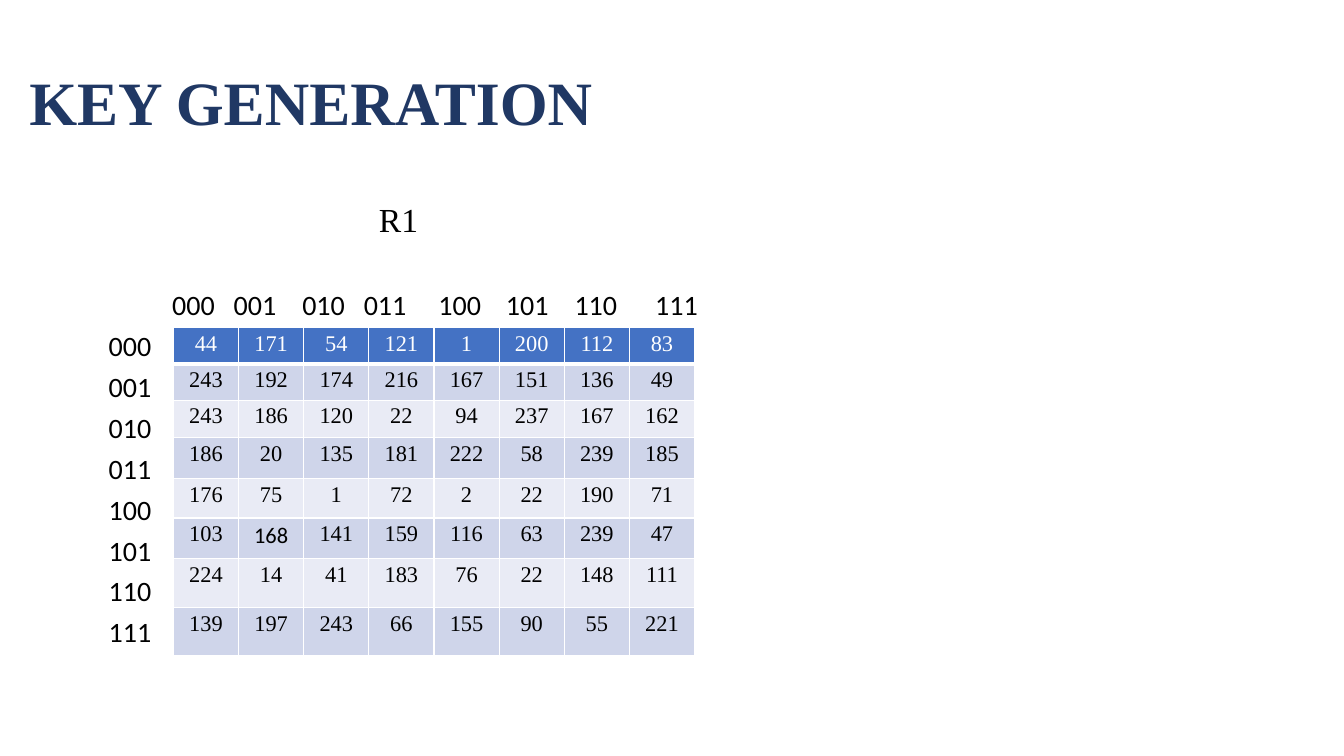
import dataclasses
import lxml.etree
import pptx
import pptx.dml.color
import pptx.enum.text
import pptx.oxml.ns
import pptx.util

Inches, Pt = pptx.util.Inches, pptx.util.Pt
Align, Anchor = pptx.enum.text.PP_ALIGN, pptx.enum.text.MSO_ANCHOR
qn = pptx.oxml.ns.qn


@dataclasses.dataclass(frozen=True)
class Theme:
    serif: str = "Times New Roman"
    sans: str = "Calibri"
    navy: str = "203864"
    black: str = "000000"
    white: str = "FFFFFF"
    head: str = "4472C4"
    bands: tuple = ("E9EBF5", "CFD5EA")
    title: int = 44
    name: int = 24
    label: int = 20
    cell: int = 16


THEME = Theme()
CODES = [format(n, "03b") for n in range(8)]
# Left edges of the column codes, from the left of the label text
STOPS = [0.69, 1.3, 1.98, 2.59, 3.33, 4, 4.68, 5.48]
HEIGHTS = [0.36, 0.36, 0.37, 0.41, 0.39, 0.4, 0.49, 0.48]
KEYS = [
    [44, 171, 54, 121, 1, 200, 112, 83],
    [243, 192, 174, 216, 167, 151, 136, 49],
    [243, 186, 120, 22, 94, 237, 167, 162],
    [186, 20, 135, 181, 222, 58, 239, 185],
    [176, 75, 1, 72, 2, 22, 190, 71],
    [103, 168, 141, 159, 116, 63, 239, 47],
    [224, 14, 41, 183, 76, 22, 148, 111],
    [139, 197, 243, 66, 155, 90, 55, 221],
]
SANS_CELL = (5, 1)


def add_run(para, text, size, font, color, bold=False):
    run = para.add_run()
    run.text = text
    run.font.size = Pt(size)
    run.font.name = font
    run.font.bold = bold
    run.font.color.rgb = pptx.dml.color.RGBColor.from_string(color)


def add_title(slide, box, text):
    title = slide.shapes.title
    title.left, title.top, title.width, title.height = map(Inches, box)
    frame = title.text_frame
    frame.vertical_anchor = Anchor.MIDDLE
    para = frame.paragraphs[0]
    para.alignment = Align.LEFT
    para.line_spacing = 0.9
    add_run(para, text, THEME.title, THEME.serif, THEME.navy, True)


def add_labels(slide, box, name):
    frame = slide.shapes.add_textbox(*map(Inches, box)).text_frame
    frame.word_wrap = True

    def add_line(para, text, size, font, indent, before=10):
        para.line_spacing = 0.8
        para.space_before = Pt(before)
        para._p.get_or_add_pPr().set("marL", str(Inches(indent)))
        add_run(para, text, size, font, THEME.black)

    # Table name
    add_line(frame.paragraphs[0], name, THEME.name, THEME.serif, 2.74)

    # Column codes on tab stops
    para = frame.add_paragraph()
    line = "".join("\t" + code for code in CODES)
    add_line(para, line, THEME.label, THEME.sans, 0, 39.5)
    tabs = lxml.etree.SubElement(para._p.get_or_add_pPr(), qn("a:tabLst"))
    for stop in STOPS:
        lxml.etree.SubElement(tabs, qn("a:tab"), pos=str(Inches(stop)), algn="l")

    # Row codes
    for code in CODES:
        add_line(frame.add_paragraph(), code, THEME.label, THEME.sans, 0.06)


def set_edges(cell, low):
    props = cell._tc.get_or_add_tcPr()
    for side, width in zip("LRTB", (1, 1, 1, low)):
        line = lxml.etree.SubElement(props, qn("a:ln" + side), w=str(Pt(width)))
        fill = lxml.etree.SubElement(line, qn("a:solidFill"))
        lxml.etree.SubElement(fill, qn("a:srgbClr"), val=THEME.white)


def add_keys(slide, box):
    shape = slide.shapes.add_table(len(KEYS), len(KEYS[0]), *map(Inches, box))
    table = shape.table
    for col in table.columns:
        col.width = Inches(box[2] / len(KEYS[0]))
    for r, (height, keys) in enumerate(zip(HEIGHTS, KEYS)):
        table.rows[r].height = Inches(height)
        for c, key in enumerate(keys):
            cell = table.cell(r, c)
            cell.margin_left = cell.margin_right = Inches(0.07)
            cell.margin_top = cell.margin_bottom = 0
            set_edges(cell, 1 if r else 3)
            cell.fill.solid()
            shade = THEME.bands[r % 2] if r else THEME.head
            cell.fill.fore_color.rgb = pptx.dml.color.RGBColor.from_string(shade)
            para = cell.text_frame.paragraphs[0]
            para.alignment = Align.CENTER
            para.line_spacing = 1.15
            para.space_after = Pt(10)
            font = THEME.sans if (r, c) == SANS_CELL else THEME.serif
            color = THEME.black if r else THEME.white
            add_run(para, str(key), THEME.cell, font, color)


def main():
    deck = pptx.Presentation()
    deck.slide_width, deck.slide_height = Inches(13.33), Inches(7.5)
    slide = deck.slides.add_slide(deck.slide_layouts[5])
    add_title(slide, (0.19, 0.32, 11.5, 1.45), "KEY GENERATION")
    add_labels(slide, (0.92, 2, 11.5, 4.76), "R1")
    add_keys(slide, (1.72, 3.25, 5.17, 3.25))
    deck.save("out.pptx")


if __name__ == "__main__":
    main()
